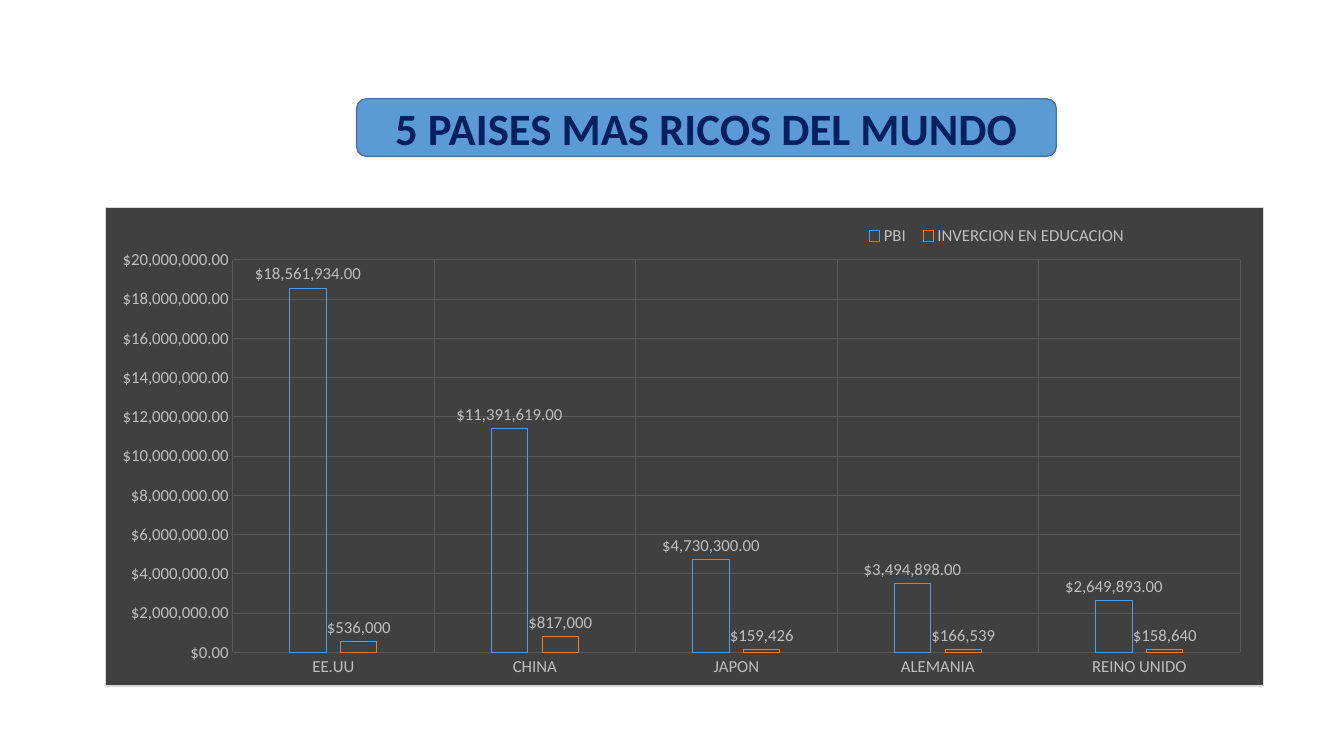
from dataclasses import dataclass

from lxml.etree import SubElement
from pptx import Presentation
from pptx.chart.data import CategoryChartData
from pptx.dml.color import RGBColor
from pptx.enum.chart import (XL_CHART_TYPE, XL_LABEL_POSITION,
                             XL_LEGEND_POSITION, XL_TICK_MARK)
from pptx.enum.shapes import MSO_SHAPE
from pptx.enum.text import MSO_ANCHOR, PP_ALIGN
from pptx.oxml import parse_xml
from pptx.oxml.ns import nsdecls, qn
from pptx.util import Cm, Pt

FONT = "Calibri"
DARK, GREY, GRID = "404040", "BFBFBF", "595959"
MONEY = "[$$-540A]#,##0.00"


@dataclass
class Series:
    name: str
    values: tuple[int, ...]
    color: str
    format: str


LANDS = ("EE.UU", "CHINA", "JAPON", "ALEMANIA", "REINO UNIDO")
SERIES = (
    Series("PBI", (18561934, 11391619, 4730300, 3494898, 2649893),
           "5B9BD5", MONEY),
    Series("INVERCION EN EDUCACION", (536000, 817000, 159426, 166539, 158640),
           "ED7D31", "[$$-540A]#,##0"),
)


def rgb(code: str) -> RGBColor:
    return RGBColor.from_string(code)


def set_font(font, size: float = 12, color: str = GREY, bold: bool = False) -> None:
    font.name, font.size, font.bold = FONT, Pt(size), bold
    font.color.rgb = rgb(color)


def set_line(line, color: str, width: float = 0.75) -> None:
    line.color.rgb = rgb(color)
    line.width = Pt(width)


def write(shape, text: str, **style) -> None:
    frame = shape.text_frame
    frame.word_wrap = True
    frame.vertical_anchor = MSO_ANCHOR.MIDDLE
    para = frame.paragraphs[0]
    para.alignment = PP_ALIGN.CENTER
    run = para.add_run()
    run.text = text
    set_font(run.font, **style)


def place(part, index: int, inner: bool = False, **box: float) -> None:
    """Fix a chart part at fractions of the chart area."""
    for old in part.findall(qn("c:layout")):
        part.remove(old)
    layout = parse_xml(f"<c:layout {nsdecls('c')}><c:manualLayout/></c:layout>")
    manual = layout[0]
    if inner:
        SubElement(manual, qn("c:layoutTarget")).set("val", "inner")
    for key in ("xMode", "yMode"):
        SubElement(manual, qn(f"c:{key}")).set("val", "edge")
    for key, val in box.items():
        SubElement(manual, qn(f"c:{key}")).set("val", str(val))
    part.insert(index, layout)


def set_axis(axis) -> None:
    axis.major_tick_mark = axis.minor_tick_mark = XL_TICK_MARK.NONE
    axis.format.line.fill.background()
    axis.has_major_gridlines = True
    set_line(axis.major_gridlines.format.line, GRID)
    set_font(axis.tick_labels.font)


def add_bars(slide) -> None:
    data = CategoryChartData()
    data.categories = LANDS
    for item in SERIES:
        data.add_series(item.name, item.values, item.format)
    chart = slide.shapes.add_chart(
        XL_CHART_TYPE.COLUMN_CLUSTERED,
        Cm(2.64), Cm(5.21), Cm(29.21), Cm(12.09), data).chart
    chart.has_title = False
    set_font(chart.font)

    # Dark chart area
    root = chart._chartSpace
    root.find(qn("c:chart")).addnext(parse_xml(
        f'<c:spPr {nsdecls("c", "a")}>'
        f'<a:solidFill><a:srgbClr val="{DARK}"/></a:solidFill>'
        '<a:ln w="9525"><a:solidFill><a:srgbClr val="D9D9D9"/></a:solidFill></a:ln>'
        '</c:spPr>'))

    # Axes and plot area
    for axis in (chart.category_axis, chart.value_axis):
        set_axis(axis)
    scale = chart.value_axis
    scale.minimum_scale, scale.maximum_scale = 0, 20_000_000
    scale.major_unit = 2_000_000
    scale.tick_labels.number_format = MONEY
    scale.tick_labels.number_format_is_linked = False
    place(root.find(".//" + qn("c:plotArea")), 0, inner=True,
          x=0.11, y=0.11, w=0.87, h=0.82)

    # Legend
    chart.has_legend = True
    legend = chart.legend
    legend.position = XL_LEGEND_POSITION.TOP
    legend.include_in_layout = False
    set_font(legend.font)
    place(root.find(".//" + qn("c:legend")), 1, x=0.65, y=0.03, w=0.24, h=0.06)

    # Outlined columns with values
    plot = chart.plots[0]
    plot.gap_width, plot.overlap = 315, -40
    plot.vary_by_categories = False
    for bars, item in zip(plot.series, SERIES):
        bars.format.fill.background()
        set_line(bars.format.line, item.color)
        labels = bars.data_labels
        labels.show_value = True
        labels.position = XL_LABEL_POSITION.OUTSIDE_END
        labels.number_format = item.format
        labels.number_format_is_linked = False
        set_font(labels.font)


def add_title(slide) -> None:
    title = slide.shapes.add_shape(
        MSO_SHAPE.ROUNDED_RECTANGLE, Cm(8.99), Cm(2.49), Cm(17.63), Cm(1.45))
    title.shadow.inherit = False
    title.fill.solid()
    title.fill.fore_color.rgb = rgb("5B9BD5")
    set_line(title.line, "43739E", 1)
    write(title, "5 PAISES MAS RICOS DEL MUNDO", size=32, color="002060", bold=True)


deck = Presentation()
deck.slide_width, deck.slide_height = Cm(33.87), Cm(19.05)
page = deck.slides.add_slide(deck.slide_layouts[6])
add_bars(page)
add_title(page)
deck.save("out.pptx")
